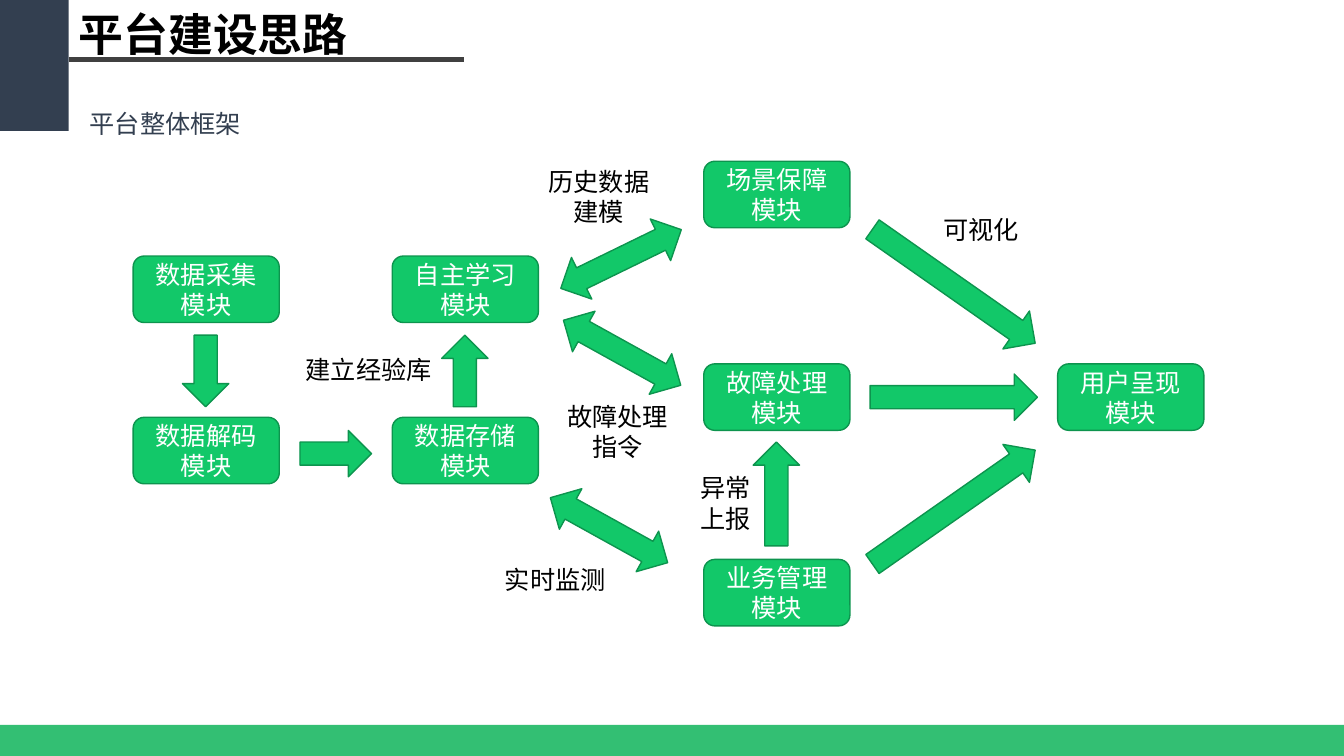
from lxml import etree
from pptx import Presentation
from pptx.dml.color import RGBColor
from pptx.enum.shapes import MSO_CONNECTOR, MSO_SHAPE
from pptx.enum.text import MSO_ANCHOR, MSO_AUTO_SIZE, PP_ALIGN
from pptx.oxml.ns import qn
from pptx.util import Inches, Pt

RECT, MODULE = MSO_SHAPE.RECTANGLE, MSO_SHAPE.ROUNDED_RECTANGLE
DOWN, BOTH = MSO_SHAPE.DOWN_ARROW, MSO_SHAPE.LEFT_RIGHT_ARROW
STRAIGHT = MSO_CONNECTOR.STRAIGHT
TOP, MIDDLE = MSO_ANCHOR.TOP, MSO_ANCHOR.MIDDLE
LEFT, CENTER, RIGHT = PP_ALIGN.LEFT, PP_ALIGN.CENTER, PP_ALIGN.RIGHT
NO_FIT = MSO_AUTO_SIZE.NONE

NAVY, GRAY, BAND = "333F50", "404040", "00B050"
GREEN, EDGE, WHITE, BLACK = "12C869", "0D944E", "FFFFFF", "000000"
BODY_FONT, TITLE_FONT = "Calibri", "Noto Sans CJK SC"

MODULE_W, MODULE_H, ARROW_W, BOTH_LENGTH = 1.45, 0.66, 0.46, 1.33
COL_1, COL_2, COL_3, COL_4 = 0, 2.57, 5.66, 9.17
MODULES = [
    ("数据采集模块", COL_1, 0.94), ("数据解码模块", COL_1, 2.54),
    ("数据存储模块", COL_2, 2.54), ("自主学习模块", COL_2, 0.94),
    ("业务管理模块", COL_3, 3.95), ("场景保障模块", COL_3, 0),
    ("故障处理模块", COL_3, 2.01), ("用户呈现模块", COL_4, 2.01),
]
ONE_WAY_CENTERS = [
    (0.72, 2.08, 0.71, 0), (2.01, 2.9, 0.71, 270), (3.29, 2.08, 0.71, 180),
    (6.38, 3.3, 1.03, 180), (8.14, 2.34, 1.66, 270),
    (8.14, 1.24, 1.97, 305), (8.14, 3.43, 1.97, 235),
]
TWO_WAY_CENTERS = [(4.72, 3.66, 29), (4.85, 1.9, 29), (4.84, 0.97, 334)]
LABELS = [
    (["建立经验库"], 1.61, 1.87, 1.45, RIGHT, False),
    (["实时监测"], 3.59, 3.95, 1.2, LEFT, False),
    (["历史数据", "建模"], 4.02, 0, 1.2, CENTER, False),
    (["异常", "上报"], 5.53, 3.04, 0.7, LEFT, False),
    (["故障处理指令"], 4.2, 2.33, 1.21, CENTER, True),
    (["可视化"], 7.94, 0.48, 0.95, LEFT, False),
]


def rgb(value):
    """Turn a hex string into a colour."""
    return RGBColor.from_string(value)


def write(sp, lines, color, align=LEFT, anchor=TOP, wrap=True,
          size=18, font=BODY_FONT, bold=False):
    """Fill a shape's text frame with one formatted run per line."""
    tf = sp.text_frame
    tf.auto_size, tf.word_wrap, tf.vertical_anchor = NO_FIT, wrap, anchor
    for i, line in enumerate(lines):
        p = tf.add_paragraph() if i else tf.paragraphs[0]
        p.alignment = align
        r = p.add_run()
        r.text = line
        r.font.size, r.font.bold, r.font.name = Pt(size), bold, font
        r.font.color.rgb = rgb(color)
        etree.SubElement(r.font._element, qn("a:ea"), typeface=font)


def add_block(s, kind, x, y, w, h, fill, line=None):
    """Add a filled preset shape without shadow."""
    sp = s.shapes.add_shape(kind, Inches(x), Inches(y), Inches(w), Inches(h))
    sp.shadow.inherit = False
    sp.fill.solid()
    sp.fill.fore_color.rgb = rgb(fill)
    if line:
        sp.line.color.rgb = rgb(line)
        sp.line.width = Pt(1)
    else:
        sp.line.fill.background()
    return sp


def add_arrow(s, kind, center_x, center_y, w, h, rotation):
    """Add a block arrow turned about its centre."""
    sp = add_block(s, kind, center_x - w / 2, center_y - h / 2, w, h, GREEN, EDGE)
    sp.rotation = rotation


def add_label(s, lines, x, y, w, align=LEFT, wrap=True, color=BLACK):
    """Add a text box for a caption."""
    height = 0.1 + 0.3 * len(lines)
    sp = s.shapes.add_textbox(Inches(x), Inches(y), Inches(w), Inches(height))
    write(sp, lines, color, align, wrap=wrap)


def add_header(s, x, y, w):
    """Place the corner block, title, underline and subtitle."""
    add_block(s, RECT, x, y, 0.68, 1.3, NAVY)
    line_x, line_y = x + 0.68, y + 0.59
    rule = s.shapes.add_connector(STRAIGHT, Inches(line_x), Inches(line_y),
                                  Inches(line_x + 3.92), Inches(line_y))
    rule.line.color.rgb = rgb(GRAY)
    rule.line.width = Pt(3)
    etree.SubElement(rule._element.spPr, qn("a:effectLst"))
    title = s.shapes.title
    title.left, title.top = Inches(line_x), Inches(y + 0.01)
    title.width, title.height = Inches(w - 0.68), Inches(0.64)
    write(title, ["平台建设思路"], BLACK, anchor=MIDDLE,
          size=32, font=TITLE_FONT, bold=True)
    add_label(s, ["平台整体框架"], x + 0.79, y + 1.03, 5.98, color=NAVY)


def add_footer(s, x, y, w, h):
    """Place the translucent band at the bottom."""
    sp = add_block(s, RECT, x, y, w, h, BAND)
    color = sp._element.spPr.find(qn("a:solidFill"))[0]
    etree.SubElement(color, qn("a:alpha"), val="80000")


def add_framework(s, x, y):
    """Place the modules, arrows and captions of the platform diagram."""
    for text, dx, dy in MODULES:
        sp = add_block(s, MODULE, x + dx, y + dy, MODULE_W, MODULE_H, GREEN, EDGE)
        write(sp, [text], WHITE, CENTER, MIDDLE)
    for dx, dy, length, rotation in ONE_WAY_CENTERS:
        add_arrow(s, DOWN, x + dx, y + dy, ARROW_W, length, rotation)
    for dx, dy, rotation in TWO_WAY_CENTERS:
        add_arrow(s, BOTH, x + dx, y + dy, BOTH_LENGTH, ARROW_W, rotation)
    for lines, dx, dy, w, align, wrap in LABELS:
        add_label(s, lines, x + dx, y + dy, w, align, wrap)


def main():
    """Build and save the slide."""
    prs = Presentation()
    prs.slide_width, prs.slide_height = Inches(13.33), Inches(7.5)
    s = prs.slides.add_slide(prs.slide_layouts[5])
    add_header(s, 0, 0, 6.98)
    add_footer(s, 0, 7.19, 13.33, 0.31)
    add_framework(s, 1.32, 1.6)
    prs.save("out.pptx")


if __name__ == "__main__":
    main()
